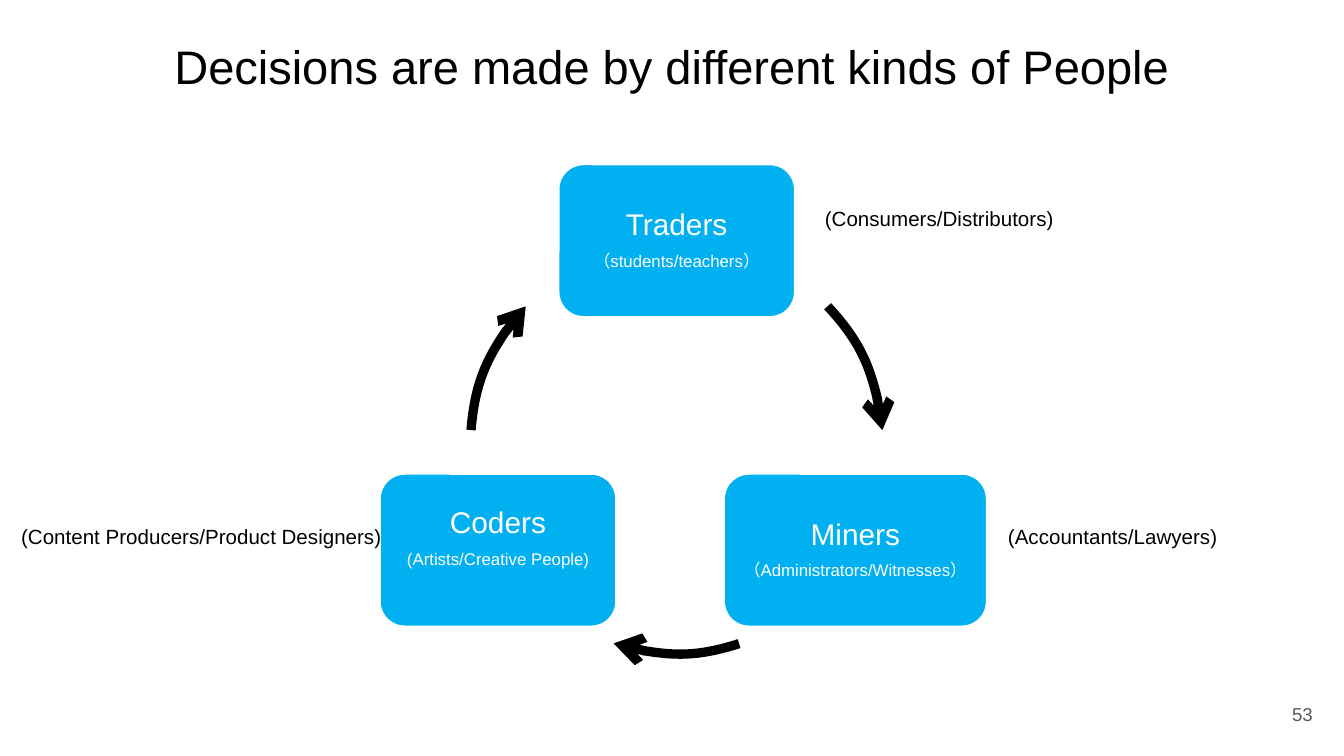
"""Build the slide on the cycle of people who make decisions."""
from math import cos, radians, sin, tan

from lxml.etree import SubElement
from pptx import Presentation
from pptx.dml.color import RGBColor
from pptx.enum.shapes import MSO_SHAPE
from pptx.enum.text import MSO_ANCHOR, PP_ALIGN
from pptx.oxml.ns import qn
from pptx.util import Cm, Pt

LEFT, CENTER, RIGHT = PP_ALIGN.LEFT, PP_ALIGN.CENTER, PP_ALIGN.RIGHT
TOP, MIDDLE = MSO_ANCHOR.TOP, MSO_ANCHOR.MIDDLE
ROUNDED = MSO_SHAPE.ROUNDED_RECTANGLE

FONT = "Arial"
BLACK, WHITE, BLUE, GREY = "000000", "FFFFFF", "00B0F0", "595959"

TITLE = "Decisions are made by different kinds of People"
PAGE_NUMBER = "53"
ROLES = [
    {"name": "Traders", "people": "（students/teachers）", "width": 4.5, "bottom": 0.18},
    {"name": "Miners", "people": "（Administrators/Witnesses）", "width": 5, "bottom": 0.18},
    {"name": "Coders", "people": "(Artists/Creative People)", "width": 4.5, "bottom": 0.63},
]
EXAMPLES = [
    ("(Accountants/Lawyers)", 18.8, 9.78, 4.5),
    ("(Content Producers/Product Designers)", 0.15, 9.78, 7.37),
    ("(Consumers/Distributors)", 15.34, 3.77, 4.85),
]
ARCS = [(-43, -4.7), (72.4, 107.8), (184.7, 223)]

CENTER_X, CENTER_Y, RADIUS = 12.79, 8.45, 3.9
ROLE_HEIGHT = 2.92


def rgb(value):
    return RGBColor.from_string(value)


def on_circle(angle):
    turn = radians(angle)
    return CENTER_X + RADIUS * cos(turn), CENTER_Y + RADIUS * sin(turn)


def write(shape, lines, color=BLACK, align=LEFT, anchor=TOP, wrap=True,
          insets=(0.25, 0.25, 0.25, 0.25), line_spacing=None, space_after=0):
    frame = shape.text_frame
    frame.word_wrap = wrap
    frame.vertical_anchor = anchor
    frame.margin_left, frame.margin_top, frame.margin_right, frame.margin_bottom = map(Cm, insets)
    for index, (text, size) in enumerate(lines):
        paragraph = frame.add_paragraph() if index else frame.paragraphs[0]
        paragraph.alignment = align
        paragraph.line_spacing = line_spacing
        paragraph.space_after = Pt(size * space_after)
        run = paragraph.add_run()
        run.text = text
        run.font.name, run.font.size = FONT, Pt(size)
        run.font.color.rgb = rgb(color)


def add_text(slide, box, text, size, **style):
    write(slide.shapes.add_textbox(*map(Cm, box)), [(text, size)], **style)


def add_role(slide, role, angle):
    x, y = on_circle(angle)
    box = x - role["width"] / 2, y - ROLE_HEIGHT / 2, role["width"], ROLE_HEIGHT
    card = slide.shapes.add_shape(ROUNDED, *map(Cm, box))
    card.shadow.inherit = False
    card.fill.solid()
    card.fill.fore_color.rgb = rgb(BLUE)
    card.line.color.rgb = rgb(WHITE)
    card.line.width = Pt(2)
    write(card, [(role["name"], 16), (role["people"], 9)], color=WHITE, align=CENTER,
          anchor=MIDDLE, insets=(0.05, 0.18, 0.05, role["bottom"]),
          line_spacing=0.9, space_after=0.35)


def add_arc(slide, start, end):
    left, top = CENTER_X - RADIUS, CENTER_Y - RADIUS
    builder = slide.shapes.build_freeform(Cm(left), Cm(top))
    builder.add_line_segments([(Cm(left + 2 * RADIUS), Cm(top + 2 * RADIUS))], close=False)
    arc = builder.convert_to_shape()
    arc.shadow.inherit = False
    arc.fill.background()
    arc.line.color.rgb = rgb(BLACK)
    arc.line.width = Pt(5)

    reach = 4 / 3 * tan(radians(end - start) / 4)
    curve = [(start, 0), (start, reach), (end, -reach), (end, 0)]
    outline = next(arc.element.iter(qn("a:path")))
    for step in list(outline):
        outline.remove(step)
    move, bend = SubElement(outline, qn("a:moveTo")), SubElement(outline, qn("a:cubicBezTo"))
    for index, (angle, tangent) in enumerate(curve):
        turn = radians(angle)
        x = RADIUS * (1 + cos(turn) - tangent * sin(turn))
        y = RADIUS * (1 + sin(turn) + tangent * cos(turn))
        SubElement(bend if index else move, qn("a:pt"), x=str(int(Cm(x))), y=str(int(Cm(y))))
    SubElement(arc.element.spPr.find(qn("a:ln")), qn("a:tailEnd"), type="arrow")


def main():
    deck = Presentation()
    deck.slide_width, deck.slide_height = Cm(25.4), Cm(14.29)
    slide = deck.slides.add_slide(deck.slide_layouts[6])
    add_text(slide, (2.21, 0.46, 20.98, 2.62), TITLE, 25.2, align=CENTER)
    for index, (role, arc) in enumerate(zip(ROLES, ARCS)):
        add_role(slide, role, -90 + index * 360 / len(ROLES))
        add_arc(slide, *arc)
    for text, left, top, width in EXAMPLES:
        add_text(slide, (left, top, width, 0.74), text, 11, wrap=False,
                 insets=(0.25, 0.13, 0.25, 0.13))
    add_text(slide, (23.54, 12.95, 1.52, 1.09), PAGE_NUMBER, 10,
             color=GREY, align=RIGHT, anchor=MIDDLE)
    deck.save("out.pptx")


if __name__ == "__main__":
    main()
